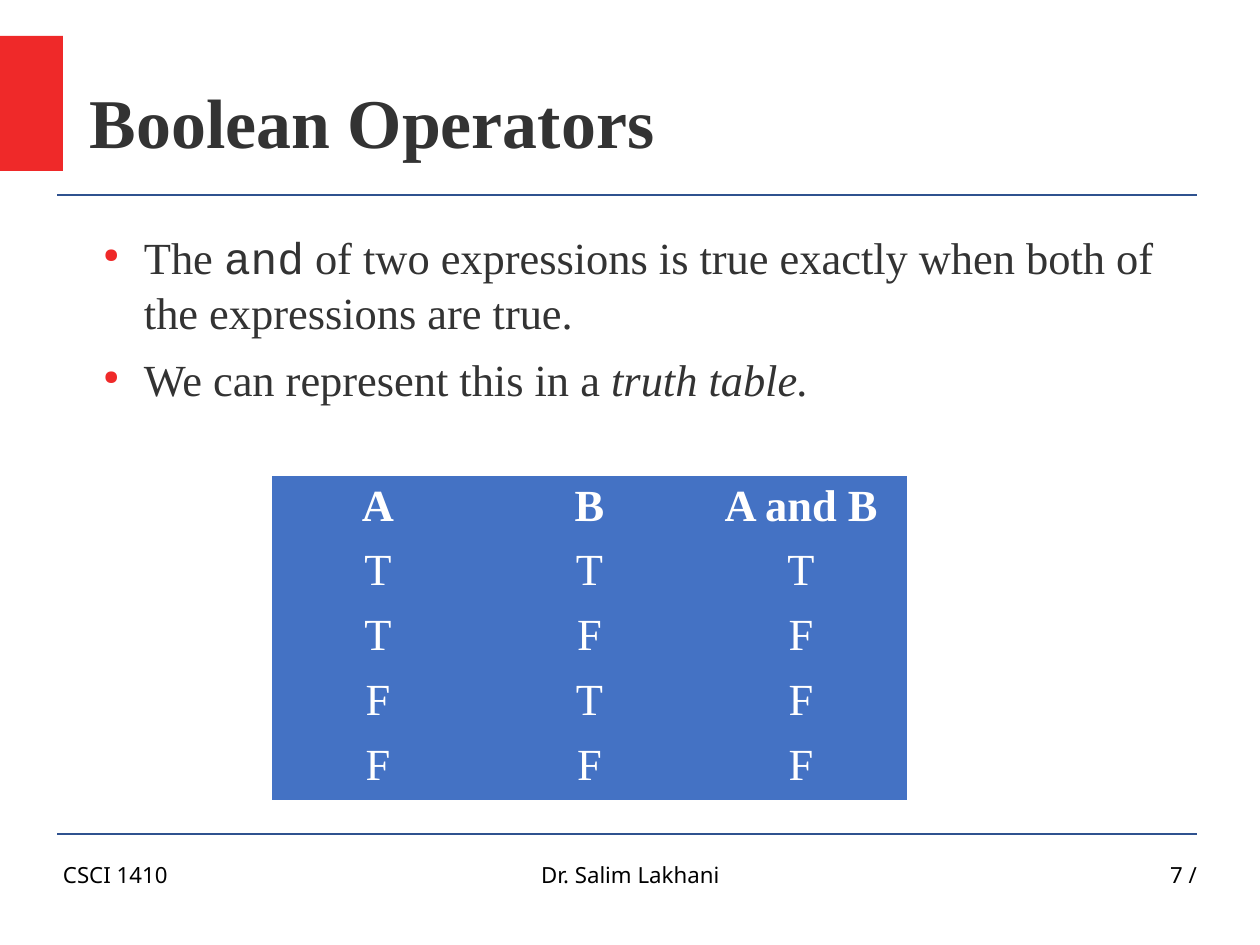
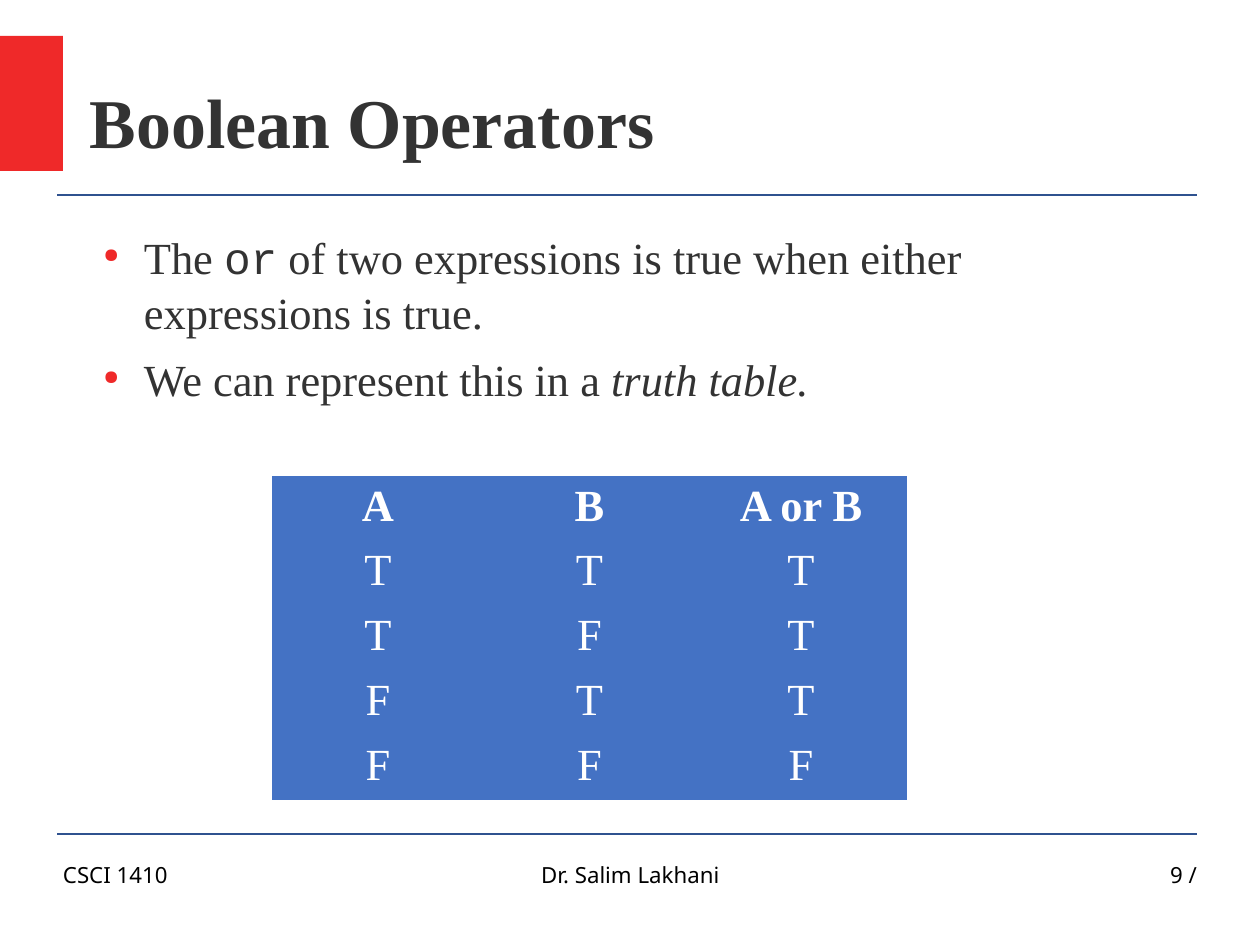
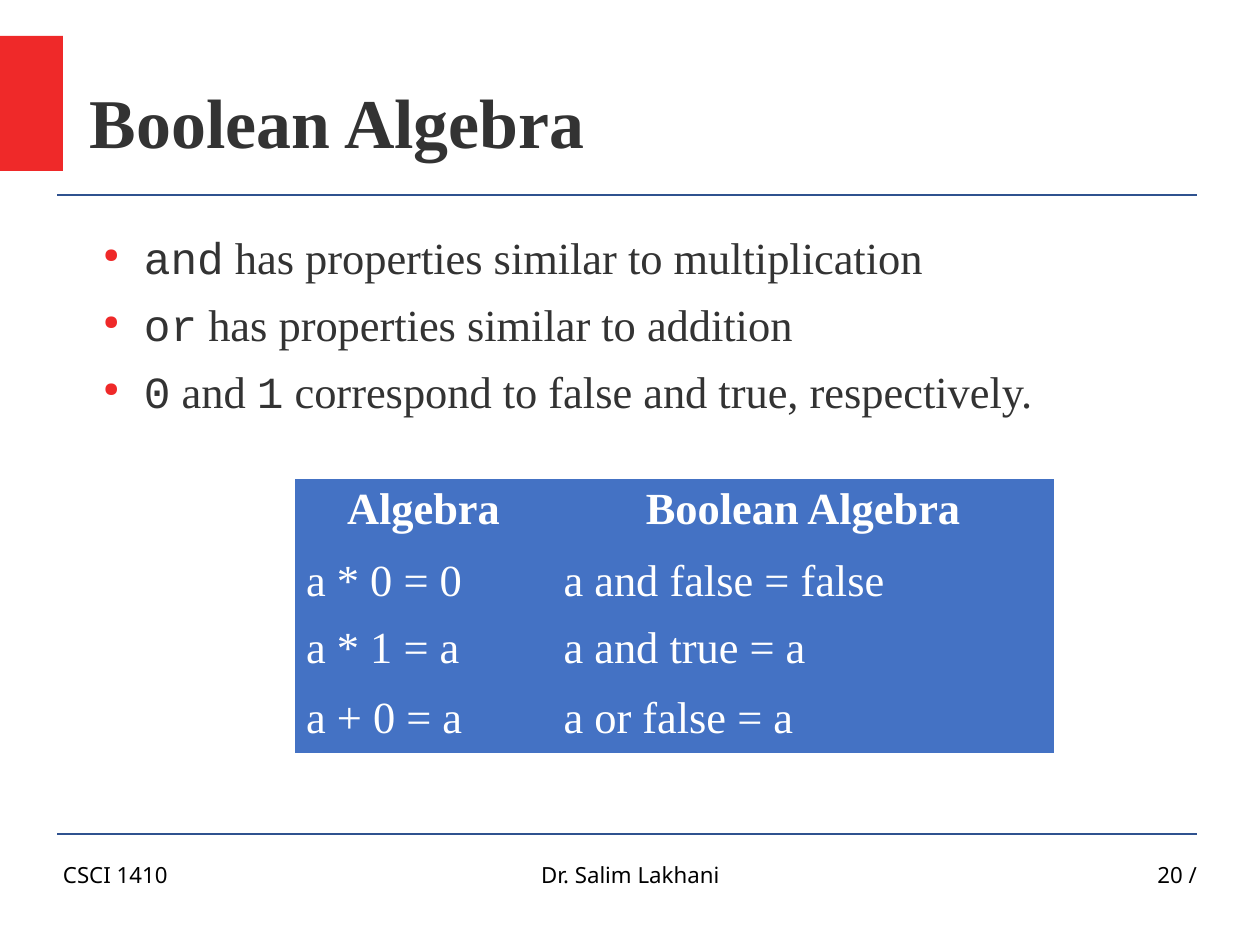
from itertools import product

from lxml import etree
from pptx import Presentation
from pptx.dml.color import RGBColor
from pptx.enum import shapes, text
from pptx.oxml import ns
from pptx.util import Cm, Pt

RED, BLUE, LINE_BLUE = "EF2929", "4472C4", "2F528F"
DARK, BLACK, WHITE = "333333", "000000", "FFFFFF"
LEFT, CENTER, RIGHT = text.PP_ALIGN.LEFT, text.PP_ALIGN.CENTER, text.PP_ALIGN.RIGHT
NO_STYLE_NO_GRID = "{2D5ABB26-0587-4C30-8999-92F81FD0307C}"

SERIF = {"name": "Times New Roman", "size": Pt(28)}
TITLE = {"name": "Times New Roman", "size": Pt(44), "bold": True}
FOOTER = {"name": "Noto Sans", "size": Pt(14)}
CODE = {"name": "Courier New"}
ITALIC = {"italic": True}


def write(paragraph, runs, font, color, alignment=LEFT):
    """Fill a paragraph with runs: plain strings, or (string, font changes)."""
    paragraph.alignment = alignment
    for item in runs:
        words, changes = (item, {}) if isinstance(item, str) else item
        run = paragraph.add_run()
        run.text = words
        for key, value in {**font, **changes}.items():
            setattr(run.font, key, value)
        run.font.color.rgb = RGBColor.from_string(color)


def add_frame(slide, left, top, width, height, anchor=text.MSO_ANCHOR.TOP):
    """Add a wrapping text box without margins and return its text frame."""
    frame = slide.shapes.add_textbox(Cm(left), Cm(top), Cm(width), Cm(height)).text_frame
    settings = {"word_wrap": True, "vertical_anchor": anchor, "margin_left": 0,
                "margin_top": 0, "margin_right": 0, "margin_bottom": 0}
    for key, value in settings.items():
        setattr(frame, key, value)
    return frame


def truth_rows(operator):
    rows = [["A", "B", f"A {operator} B"]]
    for a, b in product((True, False), repeat=2):
        result = a and b if operator == "and" else a or b
        rows.append(["T" if value else "F" for value in (a, b, result)])
    return rows


truth_table = {"left": 6.05, "top": 10.57, "columns": [4.7] * 3,
               "heights": [1.44] * 5, "alignment": CENTER}
algebra_table = {"left": 6.55, "top": 10.64, "columns": [5.72, 11.15],
                 "heights": [1.6, 1.5, 1.55, 1.45], "alignment": LEFT}
represent = ["We can represent this in a", (" truth table.", ITALIC)]

pages = [
    {"number": 7, "title": "Boolean Operators",
     "bullets": [
         ["The ", ("and", CODE), " of two expressions is true exactly when both of the expressions are true."],
         represent],
     "table": truth_table, "rows": truth_rows("and")},
    {"number": 9, "title": "Boolean Operators",
     "bullets": [
         ["The ", ("or", CODE), " of two expressions is true when either expressions is true."],
         represent],
     "table": truth_table, "rows": truth_rows("or")},
    {"number": 20, "title": "Boolean Algebra",
     "bullets": [
         [("and", CODE), " has properties similar to multiplication"],
         [("or", CODE), " has properties similar to addition"],
         [("0", CODE), " and ", ("1", CODE), " correspond to false and true, respectively."]],
     "table": algebra_table,
     "rows": [["Algebra", "Boolean Algebra"],
              ["a * 0 = 0", "a and false = false"],
              ["a * 1 = a", "a and true = a"],
              ["a + 0 = a", "a or false = a"]]},
]

presentation = Presentation()
presentation.slide_width, presentation.slide_height = Cm(28), Cm(21)

for page in pages:
    slide = presentation.slides.add_slide(presentation.slide_layouts[6])

    # Red tab and the two rules
    tab = slide.shapes.add_shape(shapes.MSO_SHAPE.RECTANGLE, 0, Cm(0.8), Cm(1.4), Cm(3))
    tab.shadow.inherit = False
    tab.fill.solid()
    tab.fill.fore_color.rgb = RGBColor.from_string(RED)
    tab.line.fill.background()
    for y in (18.54, 4.34):
        rule = slide.shapes.add_connector(
            shapes.MSO_CONNECTOR.STRAIGHT, Cm(1.27), Cm(y), Cm(26.6), Cm(y))
        rule.line.width = Pt(1.45)
        rule.line.color.rgb = RGBColor.from_string(LINE_BLUE)
        etree.SubElement(rule.line._get_or_add_ln().getparent(), ns.qn("a:effectLst"))

    # Footer
    for words, left, width, alignment in (
            ("CSCI 1410", 1.4, 6.53, LEFT),
            ("Dr. Salim Lakhani", 9.58, 8.86, CENTER),
            (f"{page['number']} /", 20.07, 6.53, RIGHT)):
        frame = add_frame(slide, left, 19.13, width, 1.45)
        write(frame.paragraphs[0], [words], FOOTER, BLACK, alignment)

    # Title
    frame = add_frame(slide, 2, 0.94, 24.6, 3.5, text.MSO_ANCHOR.MIDDLE)
    write(frame.paragraphs[0], [page["title"]], TITLE, DARK)

    # Bullets
    frame = add_frame(slide, 2, 5.06, 24, 13.2)
    for index, runs in enumerate(page["bullets"]):
        paragraph = frame.add_paragraph() if index else frame.paragraphs[0]
        write(paragraph, runs, SERIF, DARK)
        paragraph.line_spacing = 1.04
        paragraph.space_after = Pt(7.2)
        properties = paragraph._p.get_or_add_pPr()
        properties.set("marL", str(Cm(1.2)))
        properties.set("indent", str(Cm(-0.9)))
        bullet_color = etree.SubElement(properties, ns.qn("a:buClr"))
        etree.SubElement(bullet_color, ns.qn("a:srgbClr"), val=RED)
        etree.SubElement(properties, ns.qn("a:buSzPct"), val="45000")
        etree.SubElement(properties, ns.qn("a:buChar"), char="●")

    # Table
    layout, rows = page["table"], page["rows"]
    columns, heights = layout["columns"], layout["heights"]
    table = slide.shapes.add_table(
        len(rows), len(columns), Cm(layout["left"]), Cm(layout["top"]),
        Cm(sum(columns)), Cm(sum(heights))).table
    table.first_row = table.horz_banding = False
    table._tbl.tblPr.find(ns.qn("a:tableStyleId")).text = NO_STYLE_NO_GRID
    for column, width in zip(table.columns, columns):
        column.width = Cm(width)
    for r, (values, height) in enumerate(zip(rows, heights)):
        table.rows[r].height = Cm(height)
        alignment = layout["alignment"] if r else CENTER
        for c, value in enumerate(values):
            cell = table.cell(r, c)
            cell.fill.solid()
            cell.fill.fore_color.rgb = RGBColor.from_string(BLUE)
            write(cell.text_frame.paragraphs[0], [value],
                  {**SERIF, "bold": r == 0}, WHITE, alignment)

presentation.save("out.pptx")
